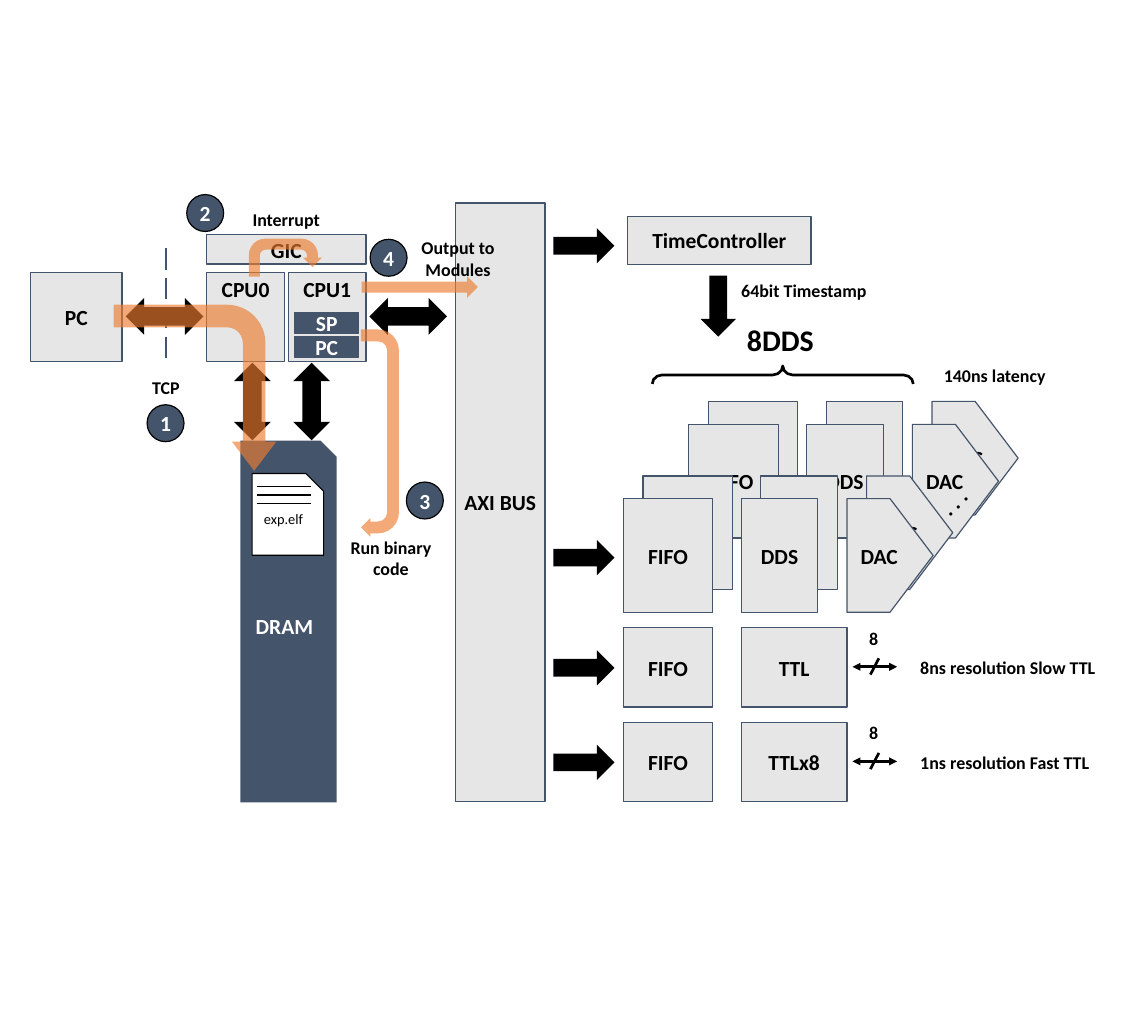
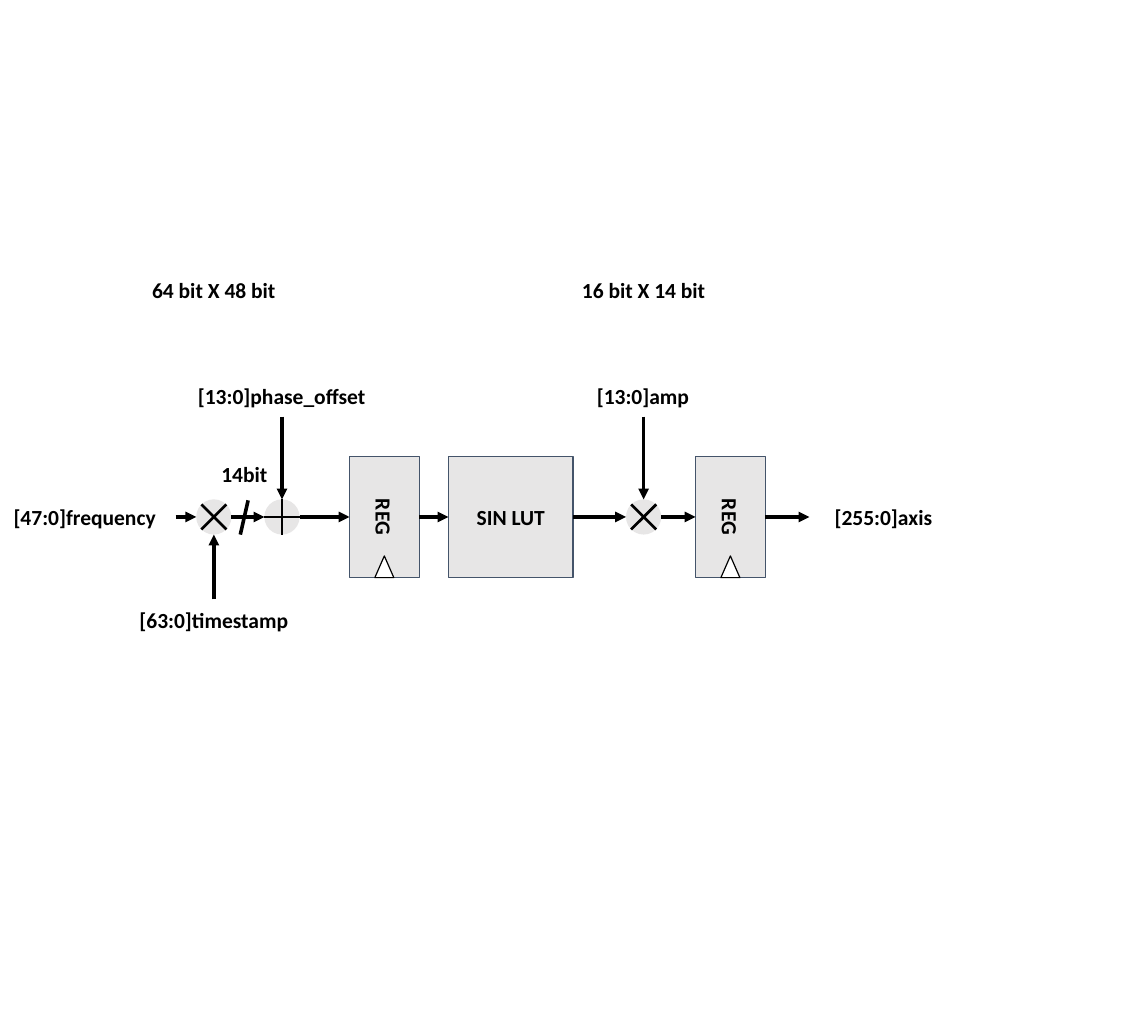
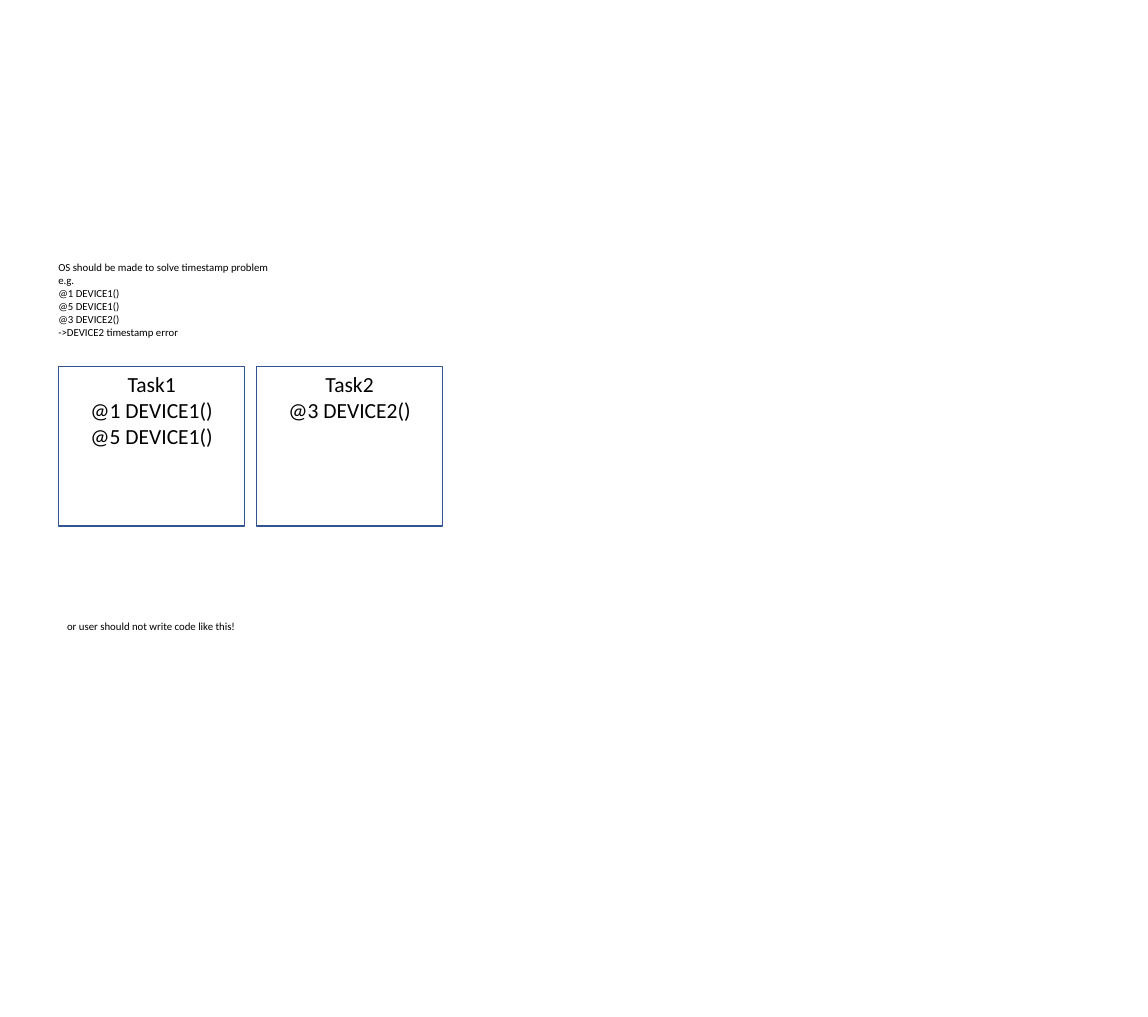
"""Build three slides on a timed control system: architecture, DDS data flow and a timestamp note."""
from itertools import pairwise

from lxml import etree
from pptx import Presentation
from pptx import util as u
from pptx.dml.color import RGBColor
from pptx.enum import dml, shapes, text
from pptx.oxml import ns

C = {"panel": "E7E6E6", "navy": "44546A", "black": "000000", "white": "FFFFFF",
     "flow": "ED7D31", "task": "325491"}
FONT = "Calibri"
S = shapes.MSO_SHAPE
ALIGN = {"l": text.PP_ALIGN.LEFT, "c": text.PP_ALIGN.CENTER}
ANCHOR = {"t": text.MSO_ANCHOR.TOP, "m": text.MSO_ANCHOR.MIDDLE}
DARK = {"fill": "navy", "color": "white"}

CARD_H = 3.35
CARD_SHIFTS = [(2.51, -2.87), (1.93, -2.19), (0.58, -0.67), (0, 0)]
STACKS = [
    (S.RECTANGLE, 18.39, 2.64, ["", "FIFO", "", "FIFO"]),
    (S.RECTANGLE, 21.87, 2.26, ["DDS"] * 4),
    (S.PENTAGON, 24.99, 2.54, ["DAC"] * 4),
]
STACK_TOP = 14.71
BLOCKS = [
    ("AXI BUS", (13.44, 5.99, 2.64, 17.65), {}),
    ("TimeController", (18.52, 6.38, 5.41, 1.42), {}),
    ("PC", (0.91, 8.03, 2.69, 2.64), {}),
    ("CPU0", (6.1, 8.03, 2.29, 2.64), {"anchor": "t"}),
    ("CPU1", (8.51, 8.03, 2.29, 2.64), {"anchor": "t"}),
    ("GIC", (6.1, 6.93, 4.7, 0.86), {}),
    ("SP", (8.69, 9.22, 1.9, 0.61), DARK),
    ("PC", (8.69, 9.93, 1.9, 0.61), DARK),
]
TTL_ROWS = [(18.52, "TTL", "8ns resolution Slow TTL"),
            (21.31, "TTLx8", "1ns resolution Fast TTL")]
TWO_WAY = [(3.71, 8.79, 0), (10.9, 8.79, 0), (6.3, 11.3, 90), (8.05, 11.3, 90)]
ONE_WAY = [(16.33, 6.73, 0), (16.33, 15.93, 0), (20.29, 8.51, 90)]
FLOWS = [
    (S.BENT_ARROW, (3.3, 9.04, 4.9, 4.8), 90, [0.139, 0.136, 0.179, 0.235]),
    (S.U_TURN_ARROW, (7.34, 7.04, 2.16, 1.12), 0, [0.292, 0.25, 0.25, 0.438, 0.75]),
    (S.U_TURN_ARROW, (8.15, 12.22, 6.12, 1.12), 90, [0.311, 0.25, 0.25, 0.551, 1]),
    (S.RIGHT_ARROW, (10.67, 8.15, 3.43, 0.64), 0, []),
]
CAPTIONS = [
    ("8DDS", (20.32, 9.4, 5.41, 1.22), {"size": 25}),
    ("64bit Timestamp", (21.62, 8.15, 4.93, 0.81), {"align": "l"}),
    ("140ns latency", (26.95, 10.67, 4.8, 0.81), {}),
    ("TCP", (4.11, 11.02, 1.57, 0.81), {}),
    ("Interrupt", (6.96, 6.07, 2.97, 0.81), {}),
    ("Run binary code", (9.63, 15.52, 3.81, 1.88), {}),
    ("Output to Modules", (11.61, 6.68, 3.81, 1.88), {}),
]
STEPS = [("1", 4.34, 11.94), ("2", 5.51, 5.74), ("3", 11.99, 14.22), ("4", 10.92, 7.06)]

AXIS_Y = 15.25
NODE_R = 0.52
NODES = [
    ("end", 5.18, ""), ("times", 6.31, ""), ("plus", 8.32, ""), ("reg", 10.31, "REG"),
    ("lut", 13.23, "SIN LUT"), ("times", 18.99, ""), ("reg", 20.52, "REG"), ("end", 23.88, ""),
]
BLOCK_W = {"reg": 2.06, "lut": 3.68}
BLOCK_H = 3.58
INPUTS = [(8.32, 12.29, -NODE_R), (18.99, 12.29, -NODE_R), (6.31, 17.68, NODE_R)]
SIGNALS = [
    ("[47:0]frequency", 0, 14.63, 5), ("[63:0]timestamp", 3.4, 17.68, 5.82),
    ("14bit", 6.17, 13.36, 2.08), ("[13:0]phase_offset", 5.11, 11.07, 6.4),
    ("[13:0]amp", 15.77, 11.07, 6.4), ("[255:0]axis", 23.88, 14.63, 4.37),
    ("64 bit X 48 bit", 3.4, 7.95, 5.82), ("16 bit X 14 bit", 16.08, 7.95, 5.82),
]

NOTES = [
    (1.47, 7.57, ["OS should be made to solve timestamp problem", "e.g.", "@1 DEVICE1()",
                  "@5 DEVICE1()", "@3 DEVICE2()", "->DEVICE2 timestamp error"]),
    (1.73, 18.16, ["or user should not write code like this!"]),
]
TASKS = [["Task1", "@1 DEVICE1()", "@5 DEVICE1()"], ["Task2", "@3 DEVICE2()"]]


def rgb(name):
    return RGBColor.from_string(C[name])


def cm(values):
    return [u.Cm(v) for v in values]


def write(sp, content, size=18, color="black", bold=True, align="c", anchor="m", inset=0.0):
    tf = sp.text_frame
    tf.word_wrap = True
    tf.margin_left = tf.margin_right = u.Cm(inset)
    tf.vertical_anchor = ANCHOR[anchor]
    lines = [content] if isinstance(content, str) else content
    for i, line in enumerate(lines):
        p = tf.paragraphs[0] if i == 0 else tf.add_paragraph()
        p.alignment = ALIGN[align]
        r = p.add_run()
        r.text = line
        r.font.name, r.font.size, r.font.bold = FONT, u.Pt(size), bold
        r.font.color.rgb = rgb(color)


def label(tree, content, at, **fmt):
    write(tree.add_textbox(*cm(at)), content, **{"inset": 0.25, **fmt})


def shape(tree, kind, at, content="", fill="panel", line="navy", weight=1, rot=0,
          adj=(), alpha=None, **fmt):
    sp = tree.add_shape(kind, *cm(at))
    sp.shadow.inherit = False
    sp.rotation = rot
    for i, value in enumerate(adj):
        sp.adjustments[i] = value
    if fill:
        sp.fill.solid()
        sp.fill.fore_color.rgb = rgb(fill)
    else:
        sp.fill.background()
    if alpha:
        color = sp.fill._xPr.find(".//" + ns.qn("a:srgbClr"))
        etree.SubElement(color, ns.qn("a:alpha"), val=str(alpha * 1000))
    if line:
        sp.line.color.rgb = rgb(line)
        sp.line.width = u.Pt(weight)
    else:
        sp.line.fill.background()
    if content:
        write(sp, content, **fmt)
    return sp


def connect(tree, x1, y1, x2, y2, weight=2.25, color="black", dash=None, ends=()):
    cx = tree.add_connector(shapes.MSO_CONNECTOR.STRAIGHT, *cm((x1, y1, x2, y2)))
    cx.line.color.rgb = rgb(color)
    cx.line.width = u.Pt(weight)
    if dash:
        cx.line.dash_style = dash
    ln = cx.line._get_or_add_ln()
    for end in ends:
        etree.SubElement(ln, ns.qn("a:" + end), type="triangle")
    etree.SubElement(cx._element.spPr, ns.qn("a:effectLst"))
    return cx


def document(tree):
    page = tree.add_group_shape().shapes
    shape(page, S.SNIP_1_RECTANGLE, (7.44, 13.97, 2.11, 2.41), "exp.elf", fill="white",
          line="black", adj=[0.248], size=12, bold=False)
    for i in range(3):
        y = 14.35 + i * 0.25
        connect(page, 7.57, y, 9.17, y, 1.25)


def ttl_row(tree, top, name, caption):
    shape(tree, S.RECTANGLE, (18.39, top, 2.64, 2.34), "FIFO")
    shape(tree, S.RECTANGLE, (21.87, top, 3.12, 2.34), name)
    shape(tree, S.RIGHT_ARROW, (16.33, top + 0.66, 1.8, 1.04), fill="black", line=None)
    y = top + 1.15
    connect(tree, 25.15, y, 26.47, y, ends=("headEnd", "tailEnd"))
    connect(tree, 25.68, y + 0.23, 25.93, y - 0.25)
    label(tree, "8", (25.5, top - 0.1, 0.56, 0.81), size=15, inset=0)
    label(tree, caption, (26.9, top + 0.76, 6.9, 0.81), size=15, align="l")


def architecture(tree):
    for kind, left, width, names in STACKS:
        for (dx, dy), name in zip(CARD_SHIFTS, names):
            shape(tree, kind, (left + dx, STACK_TOP + dy, width, CARD_H), name)
    label(tree, ". . .", (27.46, 14.25, 1.47, 1.02), align="l", anchor="t")
    tree[-1].rotation = 315
    shape(tree, S.RIGHT_BRACE, (22.83, 7.21, 0.53, 7.7), fill=None, line="black",
          weight=2.25, rot=270, adj=[0.549, 0.5])
    for name, at, fmt in BLOCKS:
        shape(tree, S.RECTANGLE, at, name, **fmt)
    shape(tree, S.SNIP_1_RECTANGLE, (7.09, 13, 2.84, 10.67), "DRAM", line=None, **DARK)
    for row in TTL_ROWS:
        ttl_row(tree, *row)
    connect(tree, 4.9, 7.32, 4.9, 10.67, color="navy", dash=dml.MSO_LINE.LONG_DASH)
    for kind, size, places in ((S.LEFT_RIGHT_ARROW, (2.29, 1.09), TWO_WAY),
                               (S.RIGHT_ARROW, (1.8, 1.04), ONE_WAY)):
        for x, y, rot in places:
            shape(tree, kind, (x, y, *size), fill="black", line=None, rot=rot)
    document(tree)
    for kind, at, rot, adj in FLOWS:
        shape(tree, kind, at, fill="flow", line=None, rot=rot, adj=adj, alpha=65)
    for content, at, fmt in CAPTIONS:
        label(tree, content, at, **{"size": 15, **fmt})
    for number, x, y in STEPS:
        shape(tree, S.OVAL, (x, y, 1.09, 1.09), number, line="black", **DARK)


def operator(tree, kind, x):
    node = tree.add_group_shape().shapes
    shape(node, S.OVAL, (x - NODE_R, AXIS_Y - NODE_R, 2 * NODE_R, 2 * NODE_R), line=None)
    d = 0.37
    strokes = {"times": [(d, d), (-d, d)], "plus": [(NODE_R, 0), (0, NODE_R)]}
    for dx, dy in strokes[kind]:
        connect(node, x - dx, AXIS_Y - dy, x + dx, AXIS_Y + dy)


def block(tree, kind, x, name):
    group = tree.add_group_shape().shapes if kind == "reg" else tree
    width, top = BLOCK_W[kind], AXIS_Y - BLOCK_H / 2
    sp = shape(group, S.RECTANGLE, (x, top, width, BLOCK_H), name)
    if kind == "reg":
        sp.text_frame._txBody.bodyPr.set("vert", "vert")
        shape(group, S.ISOSCELES_TRIANGLE, (x + width / 2 - 0.28, top + BLOCK_H - 0.64, 0.56, 0.64),
              fill="white", line="black")
    return sp


def data_flow(tree):
    stations = []
    for kind, x, name in NODES:
        if kind in BLOCK_W:
            stations.append((x, x + BLOCK_W[kind], block(tree, kind, x, name)))
        elif kind == "end":
            stations.append((x, x, None))
        else:
            operator(tree, kind, x)
            stations.append((x - NODE_R, x + NODE_R, None))
    for (_, x1, source), (x2, _, target) in pairwise(stations):
        cx = connect(tree, x1, AXIS_Y, x2, AXIS_Y, 3, ends=["tailEnd"])
        if source:
            cx.begin_connect(source, 3)
        if target:
            cx.end_connect(target, 1)
    for x, y, edge in INPUTS:
        connect(tree, x, y, x, AXIS_Y + edge, 3, ends=["tailEnd"])
    connect(tree, 7.32, 14.76, 7.09, 15.77, 3)
    for content, x, y, width in SIGNALS:
        label(tree, content, (x, y, width, 1.22))


def timestamp_note(tree):
    for x, y, lines in NOTES:
        label(tree, lines, (x, y, 8.64, 2.62), size=9, bold=False, align="l", anchor="t")
    for i, lines in enumerate(TASKS):
        shape(tree, S.RECTANGLE, (1.73 + i * 5.84, 10.82, 5.49, 4.7), lines, fill=None,
              line="task", bold=False, anchor="t")


def main():
    prs = Presentation()
    prs.slide_width, prs.slide_height = cm((33.87, 30))
    for build in (architecture, data_flow, timestamp_note):
        build(prs.slides.add_slide(prs.slide_layouts[6]).shapes)
    prs.save("out.pptx")


if __name__ == "__main__":
    main()
